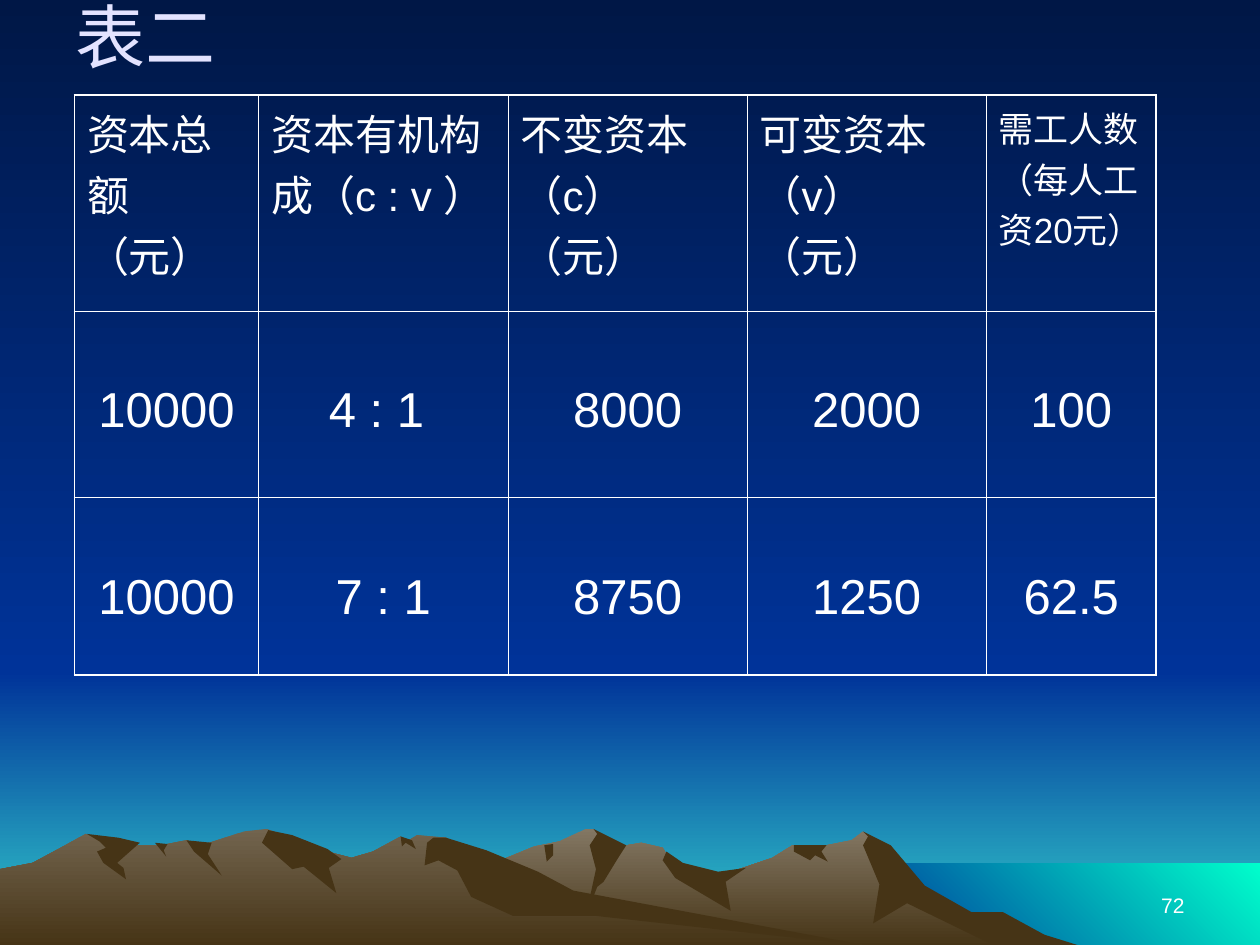
from dataclasses import dataclass

from lxml import etree
from pptx import Presentation
from pptx.dml.color import RGBColor
from pptx.enum.shapes import MSO_SHAPE
from pptx.enum.text import MSO_ANCHOR, MSO_AUTO_SIZE, PP_ALIGN
from pptx.oxml.ns import qn
from pptx.util import Cm, Pt

RECTANGLE = MSO_SHAPE.RECTANGLE
MIDDLE, BOTTOM = MSO_ANCHOR.MIDDLE, MSO_ANCHOR.BOTTOM
LEFT, CENTER, RIGHT = PP_ALIGN.LEFT, PP_ALIGN.CENTER, PP_ALIGN.RIGHT
NO_AUTOFIT = MSO_AUTO_SIZE.NONE

TITLE_ONLY = 5
PAGE_WIDTH, PAGE_HEIGHT = Cm(25.4), Cm(19.05)
HORIZON = Cm(13.54)
SEA_LEFT, SEA_TOP = Cm(17.35), Cm(17.4)
SUMMIT = Cm(16.71)

NIGHT, BLUE, TURQUOISE, AQUA = "001746", "003399", "33CCCC", "00FFCC"
SHADE, WHITE, LAVENDER = "463416", "FFFFFF", "E3E3FF"
DOWN, DOWN_LEFT = 270, 225
OUTER_LINE, INNER_LINE = 1.08, 0.45

# Mountain points are (across, depth below the summit) in steps of STEP.
STEP = Cm(0.0254)
FOOT = 93


@dataclass
class Ridge:
    """A skyline from left to right and the shaded faces below it."""
    light: str
    skyline: list
    faces: dict


BACK_RIDGE = Ridge(
    light="837763",
    skyline=[(258, 93), (277, 81), (327, 51), (355, 40), (395, 26), (424, 14),
             (444, 10), (465, 0), (471, 0), (486, 15), (509, 11), (526, 15),
             (536, 32), (566, 39), (613, 23), (629, 13), (656, 13), (676, 9),
             (685, 2), (702, 13), (723, 40), (764, 65), (802, 82), (821, 93)],
    faces={
        "east slope": [(685, 2), (707, 13), (734, 45), (771, 66), (796, 66),
                       (829, 84), (858, 93), (792, 94), (720, 59), (693, 75),
                       (698, 44), (685, 13), (689, 6)],
        "middle peak": [(471, 0), (497, 13), (490, 24), (479, 42), (474, 46),
                        (465, 69), (473, 32), (468, 13), (474, 4)],
        "middle spur": [(529, 18), (542, 27), (570, 34), (592, 31), (576, 42),
                        (580, 65), (536, 39), (526, 25)],
        "east notch": [(630, 13), (656, 13), (652, 18), (657, 26), (647, 21),
                       (643, 25), (630, 18)],
        "west notch": [(432, 13), (439, 12), (439, 21), (434, 26)],
    })

FRONT_RIDGE = Ridge(
    light="72644E",
    skyline=[(0, 32), (26, 27), (50, 14), (68, 4), (94, 13), (128, 13),
             (148, 9), (160, 13), (194, 2), (212, 0), (222, 4), (236, 23),
             (260, 18), (279, 23), (296, 18), (318, 6), (323, 10), (331, 5),
             (354, 7), (432, 54), (667, 90), (690, 93)],
    faces={
        "west peak": [(213, 1), (232, 5), (260, 16), (271, 24), (261, 31),
                      (267, 51), (241, 30), (232, 32), (208, 11)],
        "long slope": [(344, 7), (354, 7), (386, 17), (427, 34), (455, 49),
                       (690, 93), (472, 69), (407, 69), (374, 54), (363, 33),
                       (348, 25), (337, 29), (339, 11)],
        "saddle": [(318, 6), (327, 9), (330, 16), (322, 11), (319, 14)],
        "west gully": [(148, 9), (168, 11), (165, 20), (176, 37), (154, 18)],
        "small gully": [(123, 11), (133, 12), (130, 17), (132, 22)],
        "far west peak": [(69, 4), (94, 7), (111, 11), (93, 27), (98, 31),
                          (100, 40), (82, 27), (77, 18), (84, 15), (79, 10)],
    })

COLUMN_WIDTHS = [3.71, 5.03, 4.82, 4.82, 3.43]
ROW_HEIGHTS = [3.66, 3.76, 3.58]
HEADINGS = ["资本总额（元）", "资本有机构成（c : v ）", "不变资本（c）（元）",
            "可变资本（v）（元）", "需工人数（每人工资20元）"]
HEADING_SIZES = [24, 24, 24, 24, 20]
FIGURES = [
    ["10000", "4 : 1 ", "8000", "2000", "100"],
    ["10000", "7 : 1", "8750", "1250", "62.5"],
]


def color(value):
    return RGBColor.from_string(value)


def set_all(target, values):
    for name, setting in values.items():
        setattr(target, name, setting)


def fill_gradient(fill, colors, angle):
    fill.gradient()
    fill.gradient_angle = angle
    for stop, value in zip(fill.gradient_stops, colors):
        stop.color.rgb = color(value)


def write(frame, text, size, value, align):
    para = frame.paragraphs[0]
    para.alignment = align
    span = para.add_run()
    span.text = text
    set_all(span.font, {"name": "Arial", "size": Pt(size), "bold": False})
    span.font.color.rgb = color(value)


def set_plain(shape):
    """Take the line and shadow off a shape."""
    shape.line.fill.background()
    shape.shadow.inherit = False


def add_band(slide, left, top, width, height, colors, angle):
    band = slide.shapes.add_shape(RECTANGLE, left, top, width, height)
    set_plain(band)
    fill_gradient(band.fill, colors, angle)


def add_outline(slide, points, left, top):
    builder = slide.shapes.build_freeform(*points[0], scale=STEP)
    builder.add_line_segments(points[1:], close=True)
    shape = builder.convert_to_shape(left, top)
    set_plain(shape)
    return shape


def add_ridge(slide, ridge, left, top):
    """Close the skyline down to the foot and lay the shaded faces on it."""
    first, last = ridge.skyline[0][0], ridge.skyline[-1][0]
    body = ridge.skyline + [(last, FOOT), (first, FOOT)]
    mountain = add_outline(slide, body, left, top)
    fill_gradient(mountain.fill, (ridge.light, SHADE), DOWN)
    for points in ridge.faces.values():
        face = add_outline(slide, points, left, top)
        face.fill.solid()
        face.fill.fore_color.rgb = color(SHADE)


def add_landscape(slide, left, top, width, height):
    """Draw sky, sea and mountains in the given box."""
    add_band(slide, left, top + HORIZON, width, height - HORIZON,
             (BLUE, TURQUOISE), DOWN)
    add_band(slide, left, top, width, HORIZON, (NIGHT, BLUE), DOWN)
    add_band(slide, left + SEA_LEFT, top + SEA_TOP, width - SEA_LEFT,
             height - SEA_TOP, (AQUA, BLUE), DOWN_LEFT)
    for ridge in (BACK_RIDGE, FRONT_RIDGE):
        add_ridge(slide, ridge, left, top + SUMMIT)


def place_title(slide, left, top, width, height):
    title = slide.shapes.title
    set_all(title, {"left": left, "top": top, "width": width, "height": height})
    frame = title.text_frame
    set_all(frame, {"auto_size": NO_AUTOFIT, "vertical_anchor": MIDDLE})
    write(frame, "表二", 40, LAVENDER, LEFT)
    title.element.getparent().append(title.element)  # in front of the landscape


def set_borders(cell, outer_sides):
    properties = cell._tc.get_or_add_tcPr()
    for index, side in enumerate("LRTB"):
        width = OUTER_LINE if side in outer_sides else INNER_LINE
        line = etree.Element(qn(f"a:ln{side}"), w=str(Pt(width)))
        fill = etree.SubElement(line, qn("a:solidFill"))
        etree.SubElement(fill, qn("a:srgbClr"), val=WHITE)
        properties.insert(index, line)


def add_capital_table(slide, left, top):
    last_row, last_column = len(ROW_HEIGHTS) - 1, len(COLUMN_WIDTHS) - 1
    table = slide.shapes.add_table(
        last_row + 1, last_column + 1, left, top,
        Cm(sum(COLUMN_WIDTHS)), Cm(sum(ROW_HEIGHTS))).table
    table.first_row = table.horz_banding = False
    for column, width in zip(table.columns, COLUMN_WIDTHS):
        column.width = Cm(width)
    for row, height in zip(table.rows, ROW_HEIGHTS):
        row.height = Cm(height)
    for i, texts in enumerate([HEADINGS] + FIGURES):
        for j, text in enumerate(texts):
            cell = table.cell(i, j)
            edges = {"L": j == 0, "R": j == last_column,
                     "T": i == 0, "B": i == last_row}
            set_borders(cell, [side for side, outer in edges.items() if outer])
            cell.fill.background()
            if i == 0:
                write(cell.text_frame, text, HEADING_SIZES[j], WHITE, LEFT)
            else:
                cell.margin_top = Cm(1.46)
                write(cell.text_frame, text, 28, WHITE, CENTER)


def add_page_number(slide, left, top, width, height):
    frame = slide.shapes.add_textbox(left, top, width, height).text_frame
    set_all(frame, {"word_wrap": True, "vertical_anchor": BOTTOM})
    write(frame, "72", 12, WHITE, RIGHT)


def main():
    deck = Presentation()
    set_all(deck, {"slide_width": PAGE_WIDTH, "slide_height": PAGE_HEIGHT})
    slide = deck.slides.add_slide(deck.slide_layouts[TITLE_ONLY])
    fill_gradient(slide.background.fill, (NIGHT, BLUE), DOWN)
    add_landscape(slide, Cm(0), Cm(0), PAGE_WIDTH, PAGE_HEIGHT)
    place_title(slide, Cm(1.27), Cm(-0.28), Cm(22.86), Cm(2.01))
    add_capital_table(slide, Cm(1.5), Cm(1.92))
    add_page_number(slide, Cm(18.21), Cm(17.35), Cm(5.92), Cm(1.27))
    deck.save("out.pptx")


if __name__ == "__main__":
    main()
